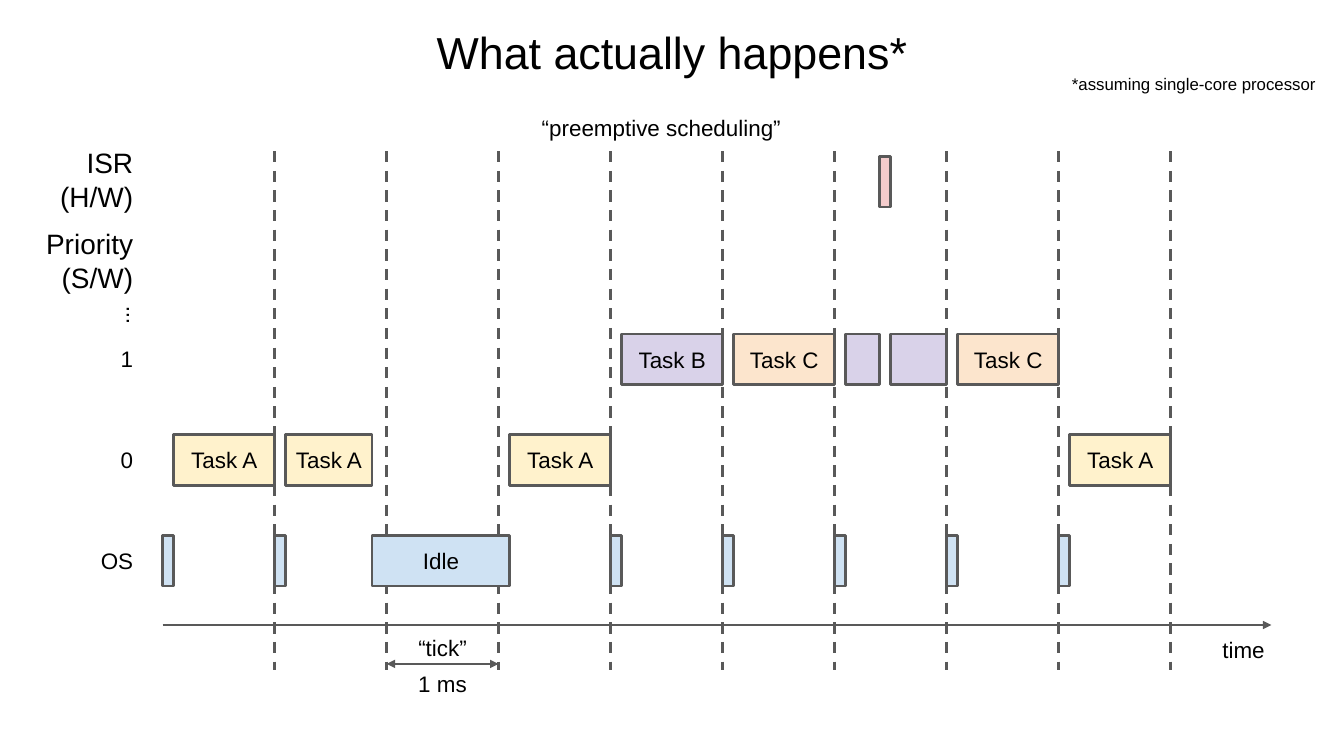
from lxml import etree
from pptx import Presentation
from pptx.dml.color import RGBColor
from pptx.enum.dml import MSO_LINE
from pptx.enum.shapes import MSO_CONNECTOR, MSO_SHAPE
from pptx.enum.text import MSO_ANCHOR, PP_ALIGN
from pptx.oxml.ns import qn
from pptx.util import Inches, Pt

RECT, STRAIGHT = MSO_SHAPE.RECTANGLE, MSO_CONNECTOR.STRAIGHT
MIDDLE, DASH = MSO_ANCHOR.MIDDLE, MSO_LINE.DASH
CENTER, RIGHT = PP_ALIGN.CENTER, PP_ALIGN.RIGHT

FONT, BLACK, GRAY = "Arial", "000000", "595959"
YELLOW, BLUE, PURPLE, ORANGE, RED = "FFF2CC", "CFE2F3", "D9D2E9", "FCE5CD", "F4CCCC"

# Content
TITLE = "What actually happens*"
LANES = {"ISR": 2.33, "1": 4.97, "0": 6.47, "OS": 7.97}  # top of each lane
# lane, start and end in ticks, fill, label
BLOCKS = [
    ("0", 0.1, 1, YELLOW, "Task A"),
    ("0", 1.1, 1.87, YELLOW, "Task A"),
    ("OS", 1.87, 3.1, BLUE, "Idle"),
    ("0", 3.1, 4, YELLOW, "Task A"),
    ("1", 4.1, 5, PURPLE, "Task B"),
    ("1", 5.1, 6, ORANGE, "Task C"),
    ("1", 6.1, 6.4, PURPLE, ""),
    ("ISR", 6.4, 6.5, RED, ""),
    ("1", 6.5, 7, PURPLE, ""),
    ("1", 7.1, 8, ORANGE, "Task C"),
    ("0", 8.1, 9, YELLOW, "Task A"),
]
OS_TICKS = [0, 1, 4, 5, 6, 7, 8]
# text, left, top, width, height, size, alignment, rotation
LABELS = [
    ("ISR\n(H/W)", 0.5, 2.08, 1.58, 1.17, 30, RIGHT, 0),
    ("Priority (S/W)", 0.5, 3.33, 1.58, 1.08, 30, RIGHT, 0),
    ("...", 1.31, 4.23, 0.96, 0.92, 24, CENTER, 270),
    ("“preemptive scheduling”", 7.42, 1.65, 4.84, 0.5, 24, CENTER, 0),
    ("*assuming single-core processor", 15.53, 0.96, 4.47, 0.58, 18, CENTER, 0),
    ("time", 17.67, 9.38, 1.67, 0.58, 24, CENTER, 0),
    ("“tick”", 5.91, 9.38, 1.35, 0.5, 24, CENTER, 0),
    ("1 ms", 5.75, 9.88, 1.67, 0.58, 24, CENTER, 0),
]

# Time scale
ORIGIN, TICK, TICK_COUNT = 2.42, 5 / 3, 9
BLOCK_H, OS_SLICE = 0.75, 0.1
AXIS_Y, SPAN_Y = 9.3, 9.88


def tick_x(tick):
    return ORIGIN + tick * TICK


def color(value):
    return RGBColor.from_string(value)


def set_text(sp, text, size, align=CENTER):
    tf = sp.text_frame
    tf.text = text
    tf.word_wrap = True
    tf.vertical_anchor = MIDDLE
    tf.margin_left = tf.margin_right = tf.margin_top = tf.margin_bottom = Inches(0.1)
    for p in tf.paragraphs:
        p.alignment = align
        for r in p.runs:
            r.font.name, r.font.size = FONT, Pt(size)
            r.font.color.rgb = color(BLACK)


def add_label(s, text, left, top, width, height, size=24, align=RIGHT, rotation=0):
    sp = s.shapes.add_textbox(Inches(left), Inches(top), Inches(width), Inches(height))
    sp.rotation = rotation
    set_text(sp, text, size, align)


def add_block(s, lane, start, end, fill, text):
    sp = s.shapes.add_shape(RECT, Inches(tick_x(start)), Inches(LANES[lane]),
                            Inches((end - start) * TICK), Inches(BLOCK_H))
    sp.shadow.inherit = False
    sp.fill.solid()
    sp.fill.fore_color.rgb = color(fill)
    sp.line.color.rgb = color(GRAY)
    sp.line.width = Pt(3)
    if text:
        set_text(sp, text, 24)


def add_line(s, x1, y1, x2, y2, dash=None, ends=()):
    line = s.shapes.add_connector(STRAIGHT, Inches(x1), Inches(y1), Inches(x2), Inches(y2))
    line.line.color.rgb = color(GRAY)
    line.line.width = Pt(3)
    if dash:
        line.line.dash_style = dash
    ln = line.line._get_or_add_ln()
    for end in ends:
        etree.SubElement(ln, qn(f"a:{end}"), type="triangle")
    etree.SubElement(line._element.spPr, qn("a:effectLst"))


prs = Presentation()
prs.slide_width, prs.slide_height = Inches(20), Inches(11.25)
s = prs.slides.add_slide(prs.slide_layouts[5])

# Title
title = s.shapes.title
title.left, title.top, title.width, title.height = 0, 0, Inches(20), Inches(1.54)
set_text(title, TITLE, 48)

# Time axis, tick marks and tick length
add_line(s, ORIGIN, AXIS_Y, tick_x(9.9), AXIS_Y, ends=["tailEnd"])
for tick in range(1, TICK_COUNT + 1):
    add_line(s, tick_x(tick), 2.25, tick_x(tick), 9.97, dash=DASH)
add_line(s, tick_x(2), SPAN_Y, tick_x(3), SPAN_Y, ends=["headEnd", "tailEnd"])

# Scheduled blocks
os_blocks = [("OS", tick, tick + OS_SLICE, BLUE, "") for tick in OS_TICKS]
for block in os_blocks + BLOCKS:
    add_block(s, *block)

# Labels
for lane in ("1", "0", "OS"):
    add_label(s, lane, 1, LANES[lane] - 0.09, 1.08, 0.92)
for label in LABELS:
    add_label(s, *label)

prs.save("out.pptx")
